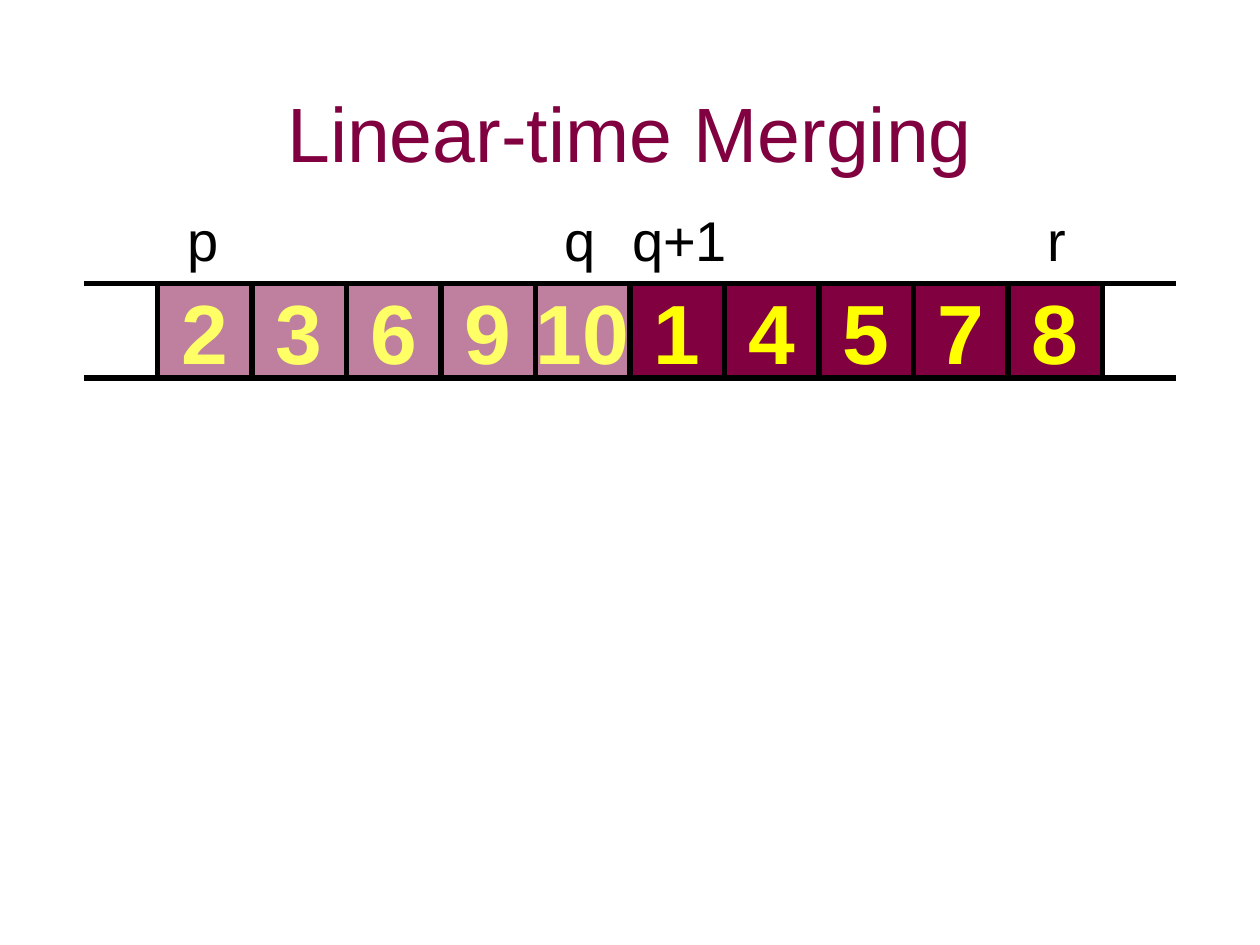
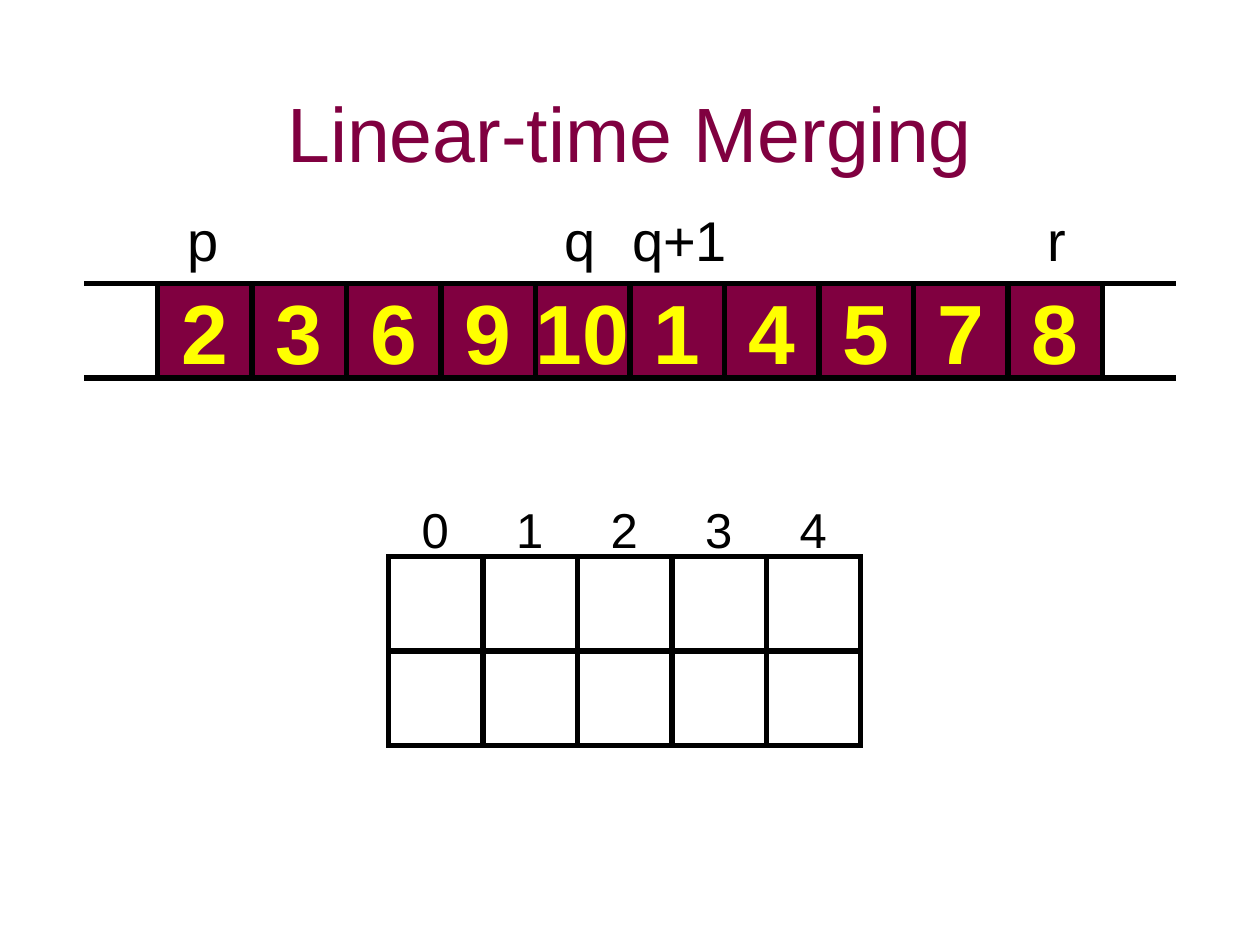
from lxml import etree
from pptx import Presentation
from pptx import util as u
from pptx.dml.color import RGBColor
from pptx.enum import shapes, text
from pptx.oxml.ns import qn

# Shared look
FONT = "Arial"
BLACK, MAROON = "000000", "800040"
YELLOW, PALE_YELLOW = "FFFF00", "FFFF66"
LINE_WIDTH = u.Pt(3)

# Shared geometry: ten square cells, centred across the slide
SLIDE_W, SLIDE_H = u.Cm(25.4), u.Cm(19.05)
VALUES = [2, 3, 6, 9, 10, 1, 4, 5, 7, 8]
ROW_W = u.Cm(19.05)
CELL = ROW_W // len(VALUES)
ROW_LEFT = (SLIDE_W - ROW_W) // 2
ROW_TOP = 3 * CELL
TAIL = u.Cm(1.48)

# Subarray bounds: label, left and width in cm
BOUNDS = [("q+1", 12.4, 2.6), ("q", 11.13, 1.14),
          ("p", 3.53, 1.14), ("r", 20.86, 0.89)]

# Buffer of two rows
BUFFER_LEFT, BUFFER_TOP = u.Cm(7.83), u.Cm(11.22)
BUFFER_ROWS, BUFFER_COLS = 2, 5


def rgb(color):
    return RGBColor.from_string(color)


def write(sp, content, size, color=BLACK, bold=False, wrap=False,
          align=text.PP_ALIGN.CENTER, anchor=text.MSO_ANCHOR.TOP):
    tf = sp.text_frame
    tf.word_wrap = wrap
    tf.vertical_anchor = anchor
    p = tf.paragraphs[0]
    p.alignment = align
    r = p.add_run()
    r.text = str(content)
    r.font.name = FONT
    r.font.size = u.Pt(size)
    r.font.bold = bold
    r.font.color.rgb = rgb(color)


def add_label(s, content, left, top, width, height, **style):
    sp = s.shapes.add_textbox(left, top, width, height)
    write(sp, content, **style)


def add_cell(s, left, top, fill=None, opacity=100):
    sp = s.shapes.add_shape(shapes.MSO_SHAPE.RECTANGLE, left, top, CELL, CELL)
    sp.shadow.inherit = False
    sp.line.color.rgb = rgb(BLACK)
    sp.line.width = LINE_WIDTH
    # Square corners
    etree.SubElement(sp._element.spPr.find(qn("a:ln")), qn("a:miter"),
                     lim="800000")
    if fill is None:
        sp.fill.background()
        return sp
    sp.fill.solid()
    sp.fill.fore_color.rgb = rgb(fill)
    if opacity < 100:
        color = sp.fill._xPr.find(".//" + qn("a:srgbClr"))
        etree.SubElement(color, qn("a:alpha"), val=str(opacity * 1000))
    return sp


def add_rule(s, left, top, width):
    line = s.shapes.add_connector(shapes.MSO_CONNECTOR.STRAIGHT,
                                  left, top, left + width, top)
    line.line.color.rgb = rgb(BLACK)
    line.line.width = LINE_WIDTH
    etree.SubElement(line._element.spPr, qn("a:effectLst"))


def add_array(s, faded):
    """Draw the array with its first `faded` cells half transparent."""
    lefts = [ROW_LEFT + i * CELL for i in range(len(VALUES))]
    for i, (left, value) in enumerate(zip(lefts, VALUES)):
        sp = add_cell(s, left, ROW_TOP, MAROON, 50 if i < faded else 100)
        write(sp, value, size=48, bold=True, anchor=text.MSO_ANCHOR.MIDDLE,
              color=PALE_YELLOW if i < faded else YELLOW)
    # Crisp frames over the cells, and open ends on both sides
    for left in lefts:
        add_cell(s, left, ROW_TOP)
    for left in (ROW_LEFT - TAIL, ROW_LEFT + ROW_W):
        for top in (ROW_TOP, ROW_TOP + CELL):
            add_rule(s, left, top, TAIL)
    for name, left, width in BOUNDS:
        add_label(s, name, u.Cm(left), u.Cm(4.02), u.Cm(width), u.Cm(1.63),
                  size=32)


def add_buffer(s):
    for col in range(BUFFER_COLS):
        left = BUFFER_LEFT + col * CELL
        for row in range(BUFFER_ROWS):
            add_cell(s, left, BUFFER_TOP + row * CELL)
        add_label(s, col, left + u.Cm(0.42), u.Cm(9.95), u.Cm(1.04),
                  u.Cm(1.45), size=28, align=text.PP_ALIGN.LEFT)


def add_merge_slide(prs, faded=0):
    s = prs.slides.add_slide(prs.slide_layouts[6])
    add_array(s, faded)
    add_label(s, "Linear-time Merging", CELL, u.Cm(1.06), SLIDE_W - 2 * CELL,
              u.Cm(3.18), size=44, color=MAROON, wrap=True,
              anchor=text.MSO_ANCHOR.MIDDLE)
    return s


def main():
    prs = Presentation()
    prs.slide_width, prs.slide_height = SLIDE_W, SLIDE_H
    # Slide 1: left half faded
    add_merge_slide(prs, faded=5)
    # Slide 2: whole array with the empty buffer
    add_buffer(add_merge_slide(prs))
    prs.save("out.pptx")


if __name__ == "__main__":
    main()
